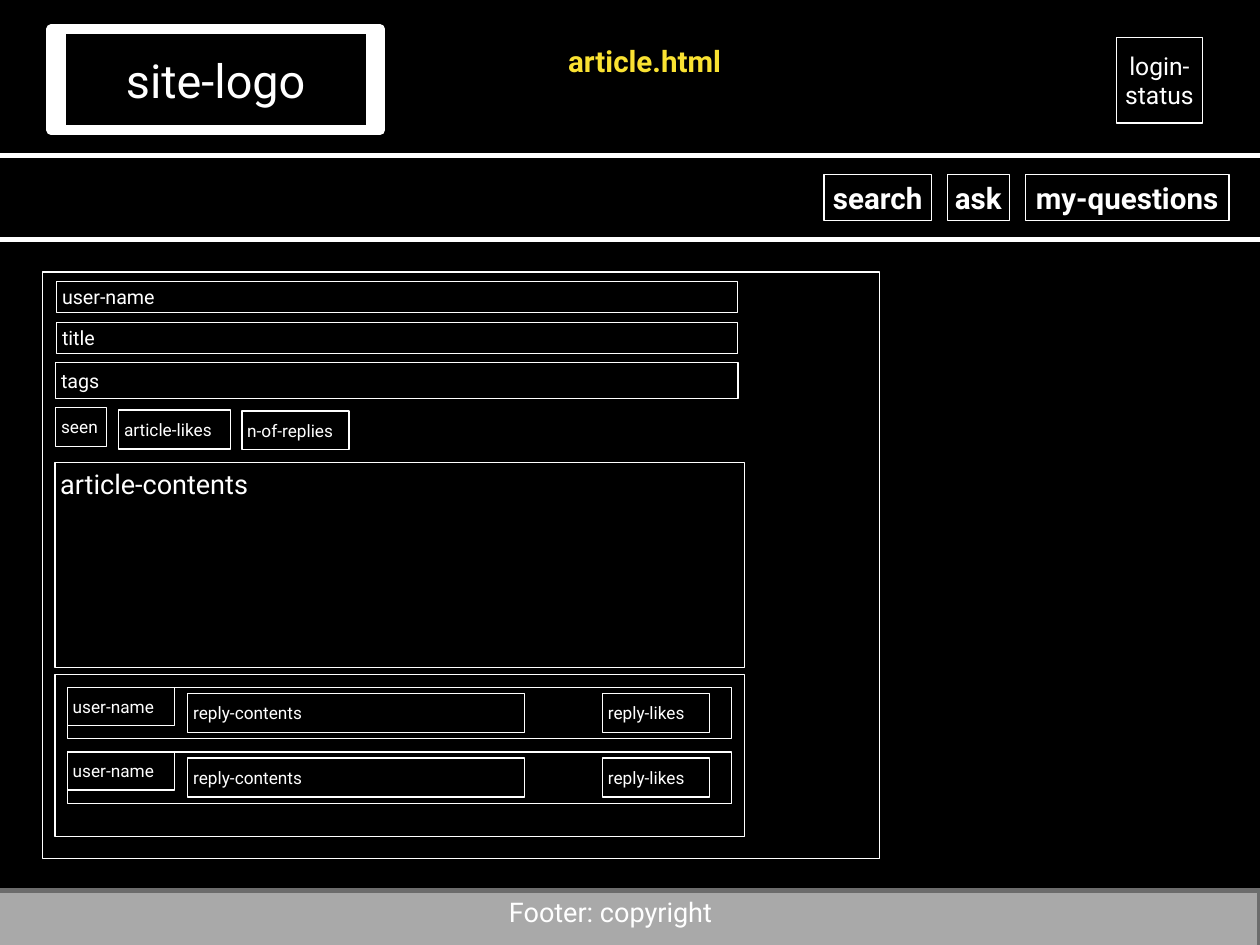
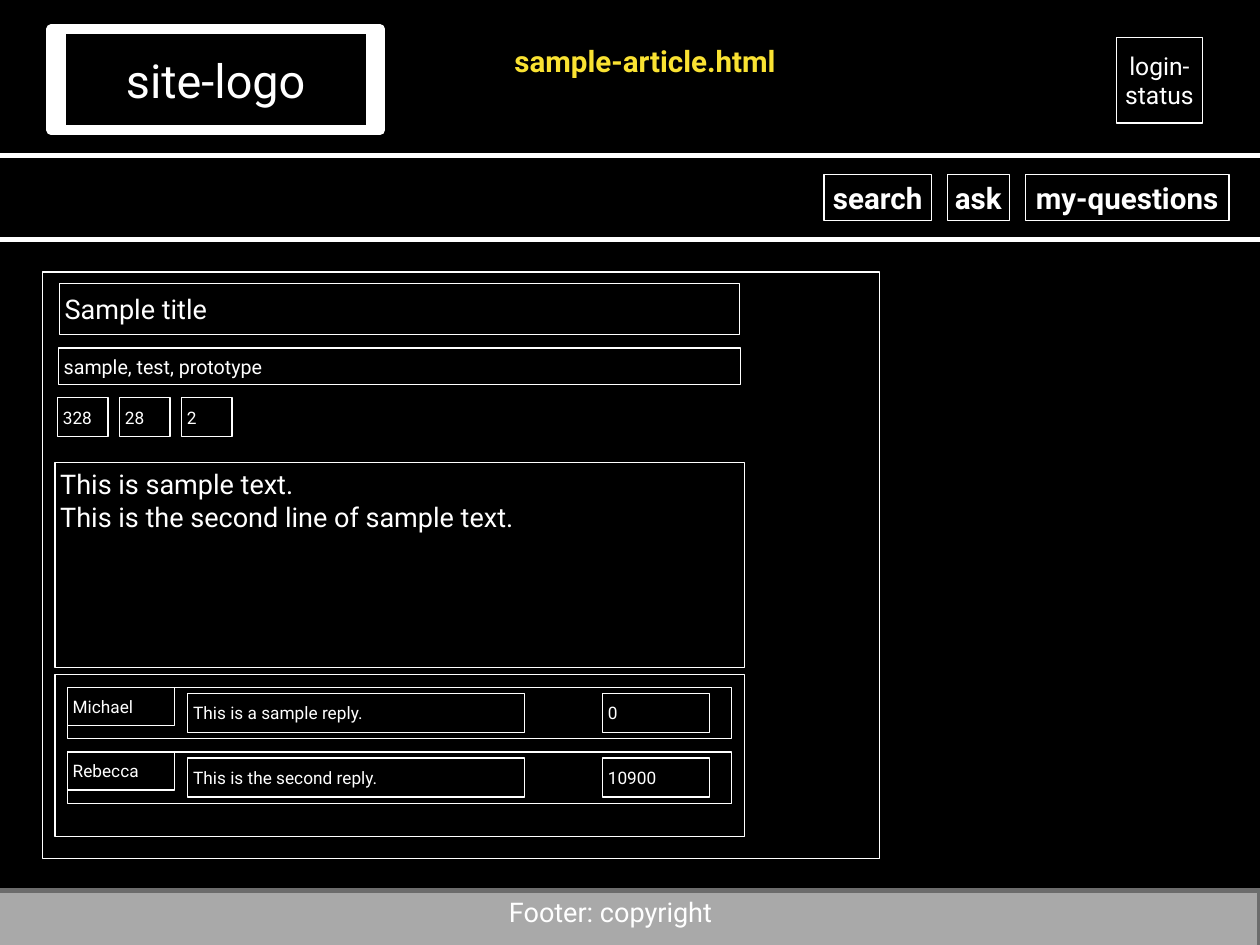
from pptx import Presentation
from pptx.dml.color import RGBColor
from pptx.enum.shapes import MSO_SHAPE
from pptx.enum.text import MSO_ANCHOR, MSO_AUTO_SIZE, PP_ALIGN
from pptx.util import Pt

PX = 9144  # EMU per px, 100 px to the inch
SLIDE_SIZE = (1422, 1067)
INSET = 6

THEME = {
    "font": "Roboto",
    "back": RGBColor.from_string("000000"),
    "ink": RGBColor.from_string("FFFFFF"),
    "accent": RGBColor.from_string("FAE232"),
    "footer": RGBColor.from_string("A9A9A9"),
    "footer_edge": RGBColor.from_string("6C6C6C"),
    "logo": 38, "heading": 24, "body": 22, "login": 20, "field": 16, "small": 14,
    "thin": 1, "band": 4, "thick": 8,
}

# Content: boxes are (left, top, width, height)
NAV_LEFT, NAV_TOP, NAV_HEIGHT, NAV_GAP = 930, 197, 52, 18
NAV = [("search", 121), ("ask", 70), ("my-questions", 230)]

BODY_BOX = (62, 522, 778, 232)
REPLY_LIST = (62, 762, 778, 183)
REPLY_TOP, REPLY_PITCH = 776, 73
REPLY_ROW = (76, 0, 750, 58)
REPLY_CELLS = [(76, 0, 121, 43), (212, 7, 380, 44), (680, 7, 121, 44)]

PAGES = [
    {
        "title": "article.html",
        "title_box": (632, 43, 191, 50),
        "fields": [
            ("user-name", (64, 318, 768, 35), "field"),
            ("title", (64, 364, 768, 35), "field"),
            ("tags", (63, 409, 770, 41), "field"),
            ("seen", (63, 460, 57, 44), "small"),
            ("article-likes", (134, 463, 126, 44), "small"),
            ("n-of-replies", (273, 464, 121, 44), "small"),
        ],
        "body": ["article-contents"],
        "replies": [("user-name", "reply-contents", "reply-likes")] * 2,
    },
    {
        "title": "sample-article.html",
        "title_box": (568, 43, 320, 50),
        "fields": [
            ("Sample title", (67, 320, 768, 58), "body"),
            ("sample, test, prototype", (66, 393, 770, 41), "field"),
            *[(count, (65 + 70 * i, 449, 57, 44), "small")
              for i, count in enumerate(["328", "28", "2"])],
        ],
        "body": ["This is sample text.", "This is the second line of sample text."],
        "replies": [("Michael", "This is a sample reply.", "0"),
                    ("Rebecca", "This is the second reply.", "10900")],
    },
]


def write(shape, lines, size, color="ink", bold=False, align=PP_ALIGN.LEFT,
          anchor=MSO_ANCHOR.MIDDLE, grow=False):
    frame = shape.text_frame
    frame_format = {
        "vertical_anchor": anchor,
        "word_wrap": not grow,
        "auto_size": MSO_AUTO_SIZE.SHAPE_TO_FIT_TEXT if grow else MSO_AUTO_SIZE.NONE,
        **{f"margin_{side}": INSET * PX for side in ("left", "top", "right", "bottom")},
    }
    for name, value in frame_format.items():
        setattr(frame, name, value)
    frame.text = "\n".join(lines)
    font_format = {"name": THEME["font"], "size": Pt(THEME[size]), "bold": bold}
    for paragraph in frame.paragraphs:
        paragraph.alignment = align
        font = paragraph.runs[0].font
        for name, value in font_format.items():
            setattr(font, name, value)
        font.color.rgb = THEME[color]


def add_box(slide, box, line="thin", edge="ink", fill=None):
    shape = slide.shapes.add_shape(MSO_SHAPE.RECTANGLE, *(n * PX for n in box))
    shape.shadow.inherit = False
    if fill:
        shape.fill.solid()
        shape.fill.fore_color.rgb = THEME[fill]
    else:
        shape.fill.background()
    shape.line.color.rgb = THEME[edge]
    shape.line.width = Pt(THEME[line])
    return shape


def add_site_frame(slide):
    slide.background.fill.solid()
    slide.background.fill.fore_color.rgb = THEME["back"]
    # Navigation band and logo
    add_box(slide, (-27, 176, 1466, 94), "band")
    add_box(slide, (69, 33, 350, 114), "thick")
    logo = add_box(slide, (58, 33, 371, 114), "thick")
    write(logo, ["site-logo"], "logo", align=PP_ALIGN.CENTER)
    # Footer
    footer = add_box(slide, (-44, 1005, 1466, 93), "band", "footer_edge", "footer")
    write(footer, ["Footer: copyright"], "body", align=PP_ALIGN.CENTER,
          anchor=MSO_ANCHOR.TOP)
    # Login and navigation buttons
    login = add_box(slide, (1260, 42, 97, 97))
    write(login, ["login-status"], "login", align=PP_ALIGN.CENTER)
    left = NAV_LEFT
    for label, width in NAV:
        button = add_box(slide, (left, NAV_TOP, width, NAV_HEIGHT))
        write(button, [label], "heading", bold=True, align=PP_ALIGN.CENTER, grow=True)
        left += width + NAV_GAP
    # Article panel
    add_box(slide, (48, 307, 945, 662))


def add_replies(slide, replies):
    add_box(slide, REPLY_LIST)
    for i, reply in enumerate(replies):
        top = REPLY_TOP + i * REPLY_PITCH
        row, *cells = [add_box(slide, (x, top + y, w, h))
                       for x, y, w, h in [REPLY_ROW, *REPLY_CELLS]]
        for cell, text in zip(cells, reply):
            write(cell, [text], "small")


def add_page(slide, page):
    add_site_frame(slide)
    title = slide.shapes.add_textbox(*(n * PX for n in page["title_box"]))
    write(title, [page["title"]], "heading", "accent", bold=True,
          align=PP_ALIGN.CENTER, grow=True)
    for text, box, size in page["fields"]:
        write(add_box(slide, box), [text], size)
    write(add_box(slide, BODY_BOX), page["body"], "body", anchor=MSO_ANCHOR.TOP)
    add_replies(slide, page["replies"])


def main():
    deck = Presentation()
    deck.slide_width, deck.slide_height = (n * PX for n in SLIDE_SIZE)
    for page in PAGES:
        add_page(deck.slides.add_slide(deck.slide_layouts[6]), page)
    deck.save("out.pptx")


if __name__ == "__main__":
    main()
